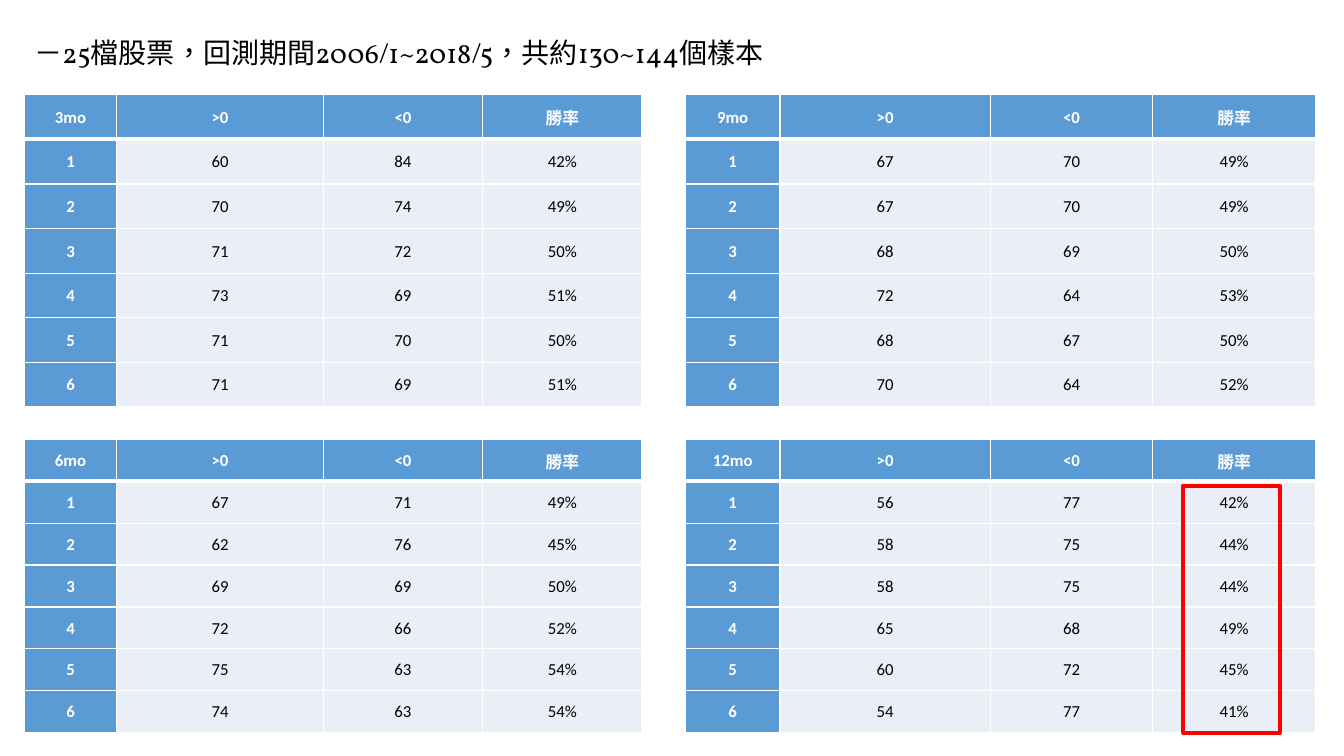
from pptx import Presentation
from pptx.dml.color import RGBColor
from pptx.enum.lang import MSO_LANGUAGE_ID
from pptx.enum.shapes import MSO_SHAPE
from pptx.enum.text import MSO_ANCHOR, PP_ALIGN
from pptx.oxml.ns import qn
from pptx.util import Inches, Pt
from lxml import etree

WHITE = RGBColor(0xFF, 0xFF, 0xFF)
BLACK = RGBColor(0, 0, 0)
BLUE = RGBColor(0x5B, 0x9B, 0xD5)
PALE = RGBColor(0xEA, 0xEF, 0xF7)
RED = RGBColor(0xFF, 0, 0)
LEFT, CENTER = PP_ALIGN.LEFT, PP_ALIGN.CENTER
MIDDLE = MSO_ANCHOR.MIDDLE
RECT = MSO_SHAPE.RECTANGLE
CHINESE = MSO_LANGUAGE_ID.TRADITIONAL_CHINESE

SHARES = (15, 33.4, 25.8, 25.8)
SIDES = ((1.8, 45.98), (51, 46.87))
BANDS = ((12.53, 41.33), (58.13, 38.8))
WINS = (
    (("3mo", ((60, 84), (70, 74), (71, 72), (73, 69), (71, 70), (71, 69))),
     ("9mo", ((67, 70), (67, 70), (68, 69), (72, 64), (68, 67), (70, 64)))),
    (("6mo", ((67, 71), (62, 76), (69, 69), (72, 66), (75, 63), (74, 63))),
     ("12mo", ((56, 77), (58, 75), (58, 75), (65, 68), (60, 72), (54, 77)))),
)


def part(box, x, y, w, h):
    left, top, wide, high = box
    return (int(left + wide * x / 100), int(top + high * y / 100),
            int(wide * w / 100), int(high * h / 100))


def write(frame, text, size=12, font="Calibri", color=BLACK, bold=False,
          align=CENTER, space=1.0):
    para = frame.paragraphs[0]
    para.alignment, para.line_spacing = align, space
    run = para.add_run()
    run.text = text
    style = run.font
    style.size, style.name, style.bold = Pt(size), font, bold
    style.color.rgb = color
    style.language_id = CHINESE


def edge(cell, side, width):
    line = etree.SubElement(cell._tc.get_or_add_tcPr(), qn("a:" + side), w=str(Pt(width)))
    fill = etree.SubElement(line, qn("a:solidFill"))
    etree.SubElement(fill, qn("a:srgbClr"), val=str(WHITE))


def heading(slide, box, text):
    title = slide.shapes.title
    title.left, title.top, title.width, title.height = box
    title.text_frame.vertical_anchor = MIDDLE
    title.text_frame.word_wrap = True
    write(title.text_frame, text, size=20, font="Vollkorn", align=LEFT, space=0.9)


def paint(cell, text, row, col):
    head = row == 0 or col == 0
    cell.margin_left = cell.margin_right = cell.margin_top = Inches(0.01)
    cell.margin_bottom = 0
    cell.vertical_anchor = MIDDLE
    thick = {"lnT": row == 1, "lnB": row == 0}
    for side in ("lnL", "lnR", "lnT", "lnB"):
        edge(cell, side, 3 if thick.get(side) else 1)
    cell.fill.solid()
    cell.fill.fore_color.rgb = BLUE if head else PALE
    write(cell.text_frame, text, color=WHITE if head else BLACK, bold=head)


def panel(slide, box, span, wins):
    rows = [(span, ">0", "<0", "勝率")]
    rows += [(str(rank), str(up), str(down), f"{up / (up + down):.0%}")
             for rank, (up, down) in enumerate(wins, 1)]
    table = slide.shapes.add_table(len(rows), len(SHARES), *box).table
    table.first_col = True
    table.horz_banding = False
    for col, share in zip(table.columns, SHARES):
        col.width = int(box[2] * share / 100)
    for line in table.rows:
        line.height = box[3] // len(rows)
    for row, texts in enumerate(rows):
        for col, text in enumerate(texts):
            paint(table.cell(row, col), text, row, col)


def frame(slide, box):
    mark = slide.shapes.add_shape(RECT, *part(box, 79.04, 15.8, 15.36, 84.2))
    mark.shadow.inherit = False
    mark.fill.background()
    mark.line.color.rgb = RED
    mark.line.width = Pt(3)


def build(deck):
    slide = deck.slides.add_slide(deck.slide_layouts[5])
    page = (0, 0, deck.slide_width, deck.slide_height)
    heading(slide, part(page, 1.8, 3.07, 91.37, 8.13),
            "－25檔股票，回測期間2006/1~2018/5，共約130~144個樣本")
    for (top, high), pair in zip(BANDS, WINS):
        for (left, wide), (span, wins) in zip(SIDES, pair):
            box = part(page, left, top, wide, high)
            panel(slide, box, span, wins)
    frame(slide, box)


deck = Presentation()
deck.slide_width, deck.slide_height = Inches(13.33), Inches(7.5)
build(deck)
deck.save("out.pptx")
